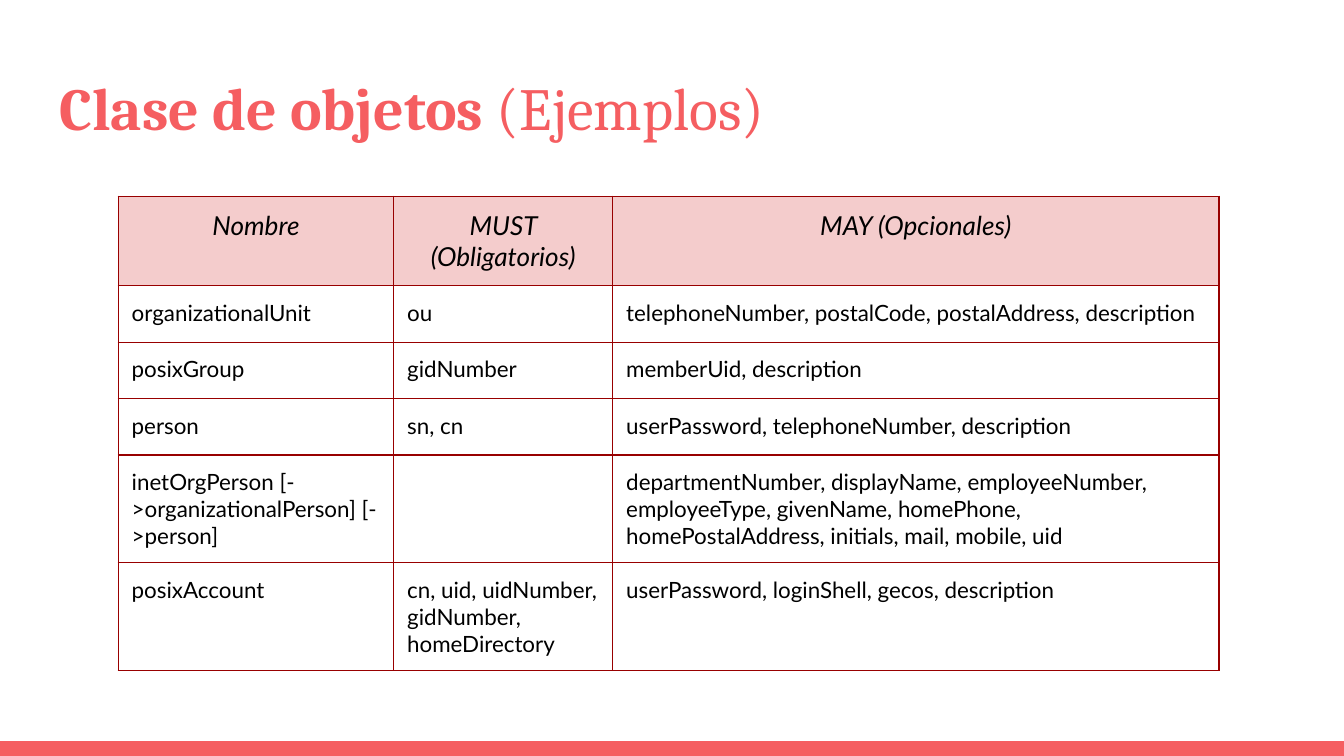
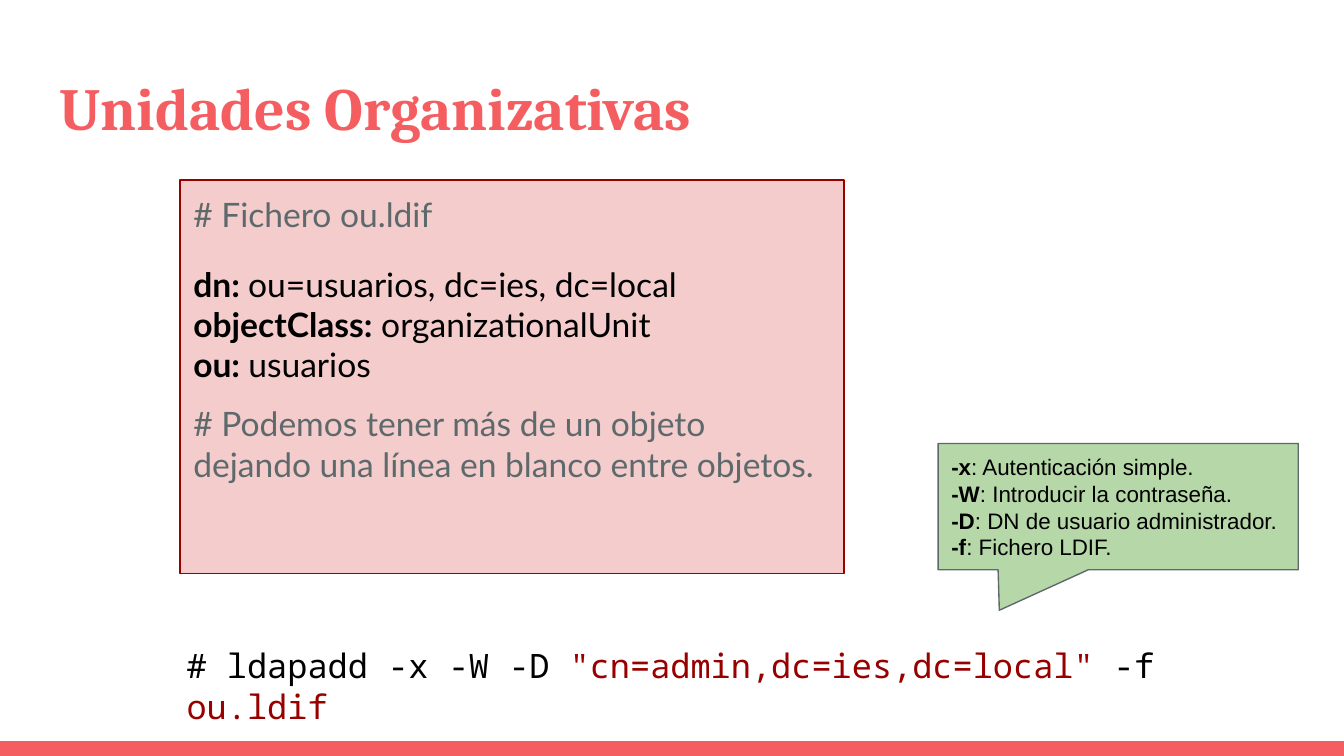
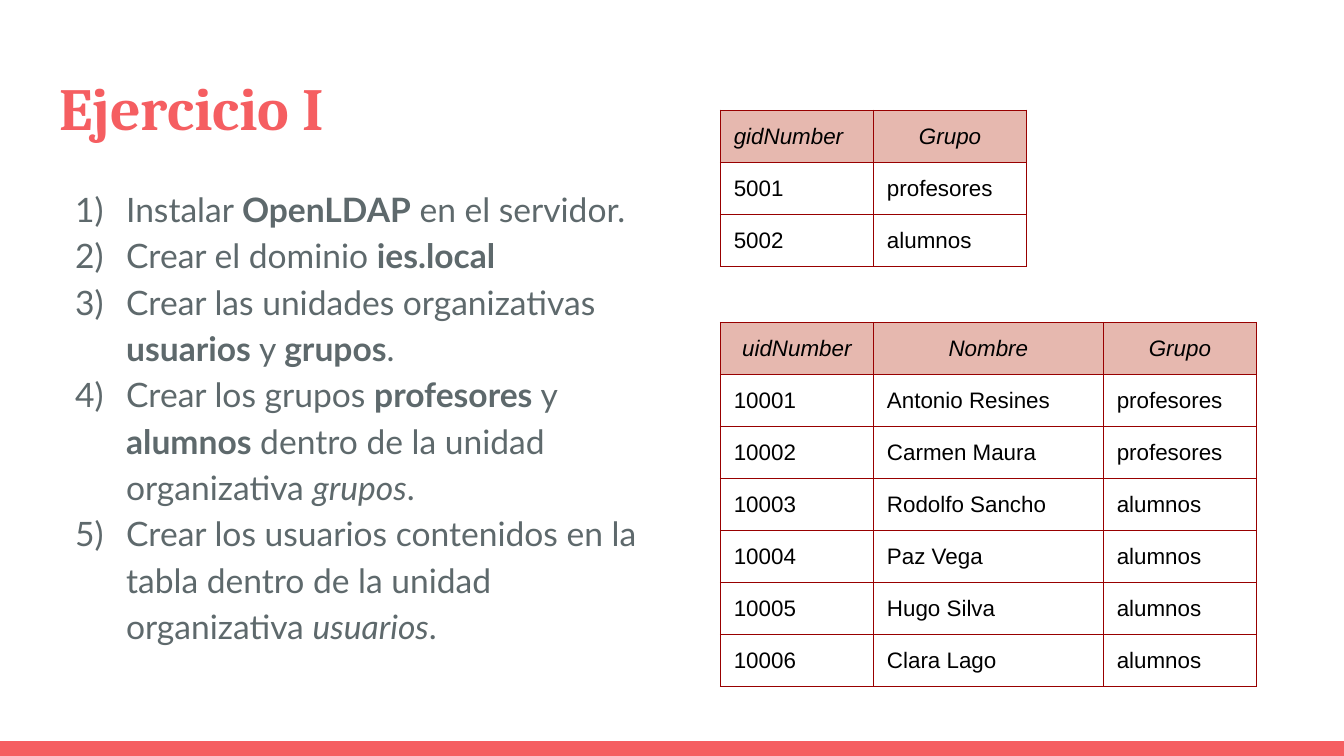
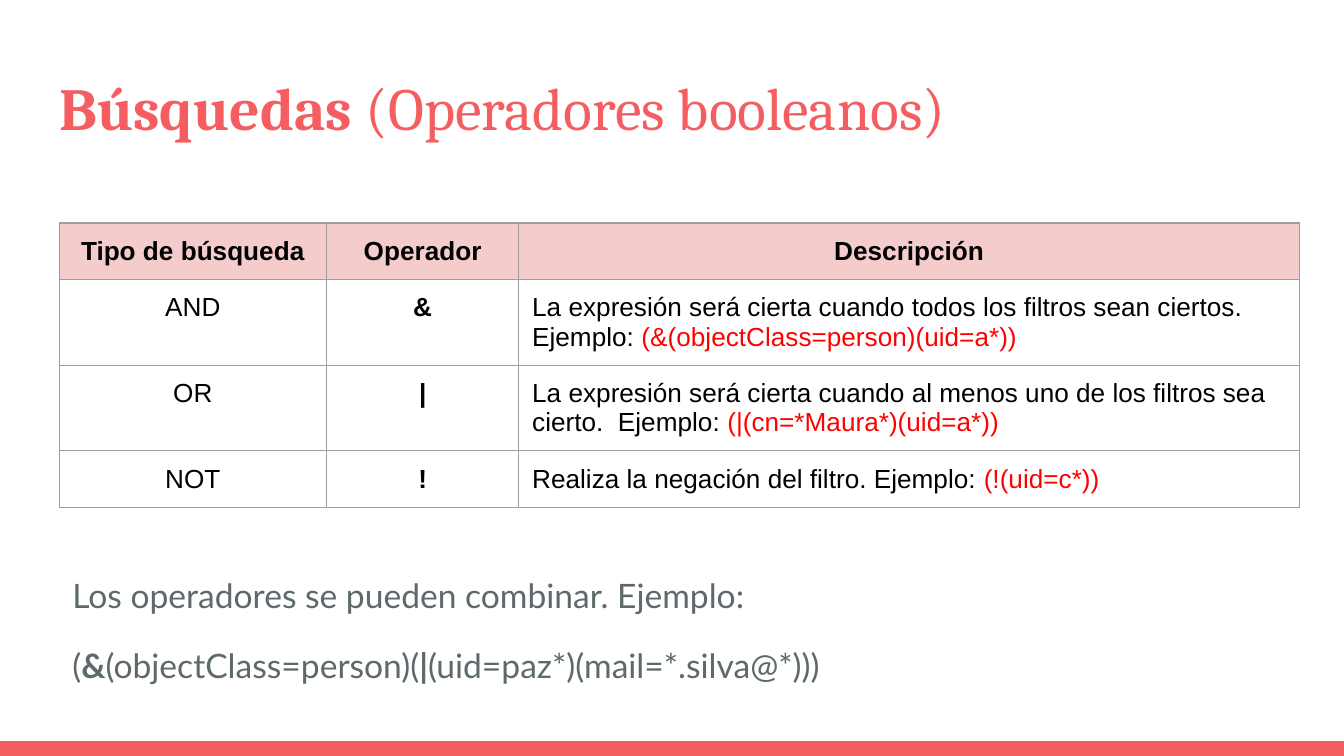
from lxml import etree
from pptx import Presentation
from pptx.dml.color import RGBColor
from pptx.enum.shapes import MSO_SHAPE
from pptx.enum.text import MSO_ANCHOR, MSO_AUTO_SIZE, PP_ALIGN
from pptx.oxml.ns import qn
from pptx.util import Inches, Pt

RECTANGLE = MSO_SHAPE.RECTANGLE
CALLOUT = MSO_SHAPE.RECTANGULAR_CALLOUT
TOP, MIDDLE = MSO_ANCHOR.TOP, MSO_ANCHOR.MIDDLE
ALIGN = {"l": PP_ALIGN.LEFT, "c": PP_ALIGN.CENTER}

COLORS = {
    "coral": "F55E61", "slate": "5E696C", "black": "000000", "maroon": "980000",
    "red": "FF0000", "pink": "F4CCCC", "salmon": "E6B8AF", "green": "B6D7A8",
    "gray": "9E9E9E",
}
SLIDE_W = 10
SLIDE_H = SLIDE_W * 9 / 16
BAND_H = 0.11
MARGIN = 0.1
TITLE_BOX = (0.34, 0.43, 9.32, 0.68)


def bold(text, **style):
    return text, {"bold": True, **style}


def italic(text):
    return text, {"italic": True}


def colored(text, color):
    return text, {"color": color}


# Content: a line is a list of runs; a run is plain text or (text, style).
OBJECT_CLASSES = {
    "at": (0.88, 1.46), "cols": (2.05, 1.63, 4.51), "rows": [0.42] * 6,
    "border": "maroon", "header_fill": "pink", "font": "Lato", "size": 12,
    "header": {"size": 14, "italic": True}, "header_align": "ccc", "align": "lll",
    "cells": [
        ("Nombre", "MUST (Obligatorios)", "MAY (Opcionales)"),
        ("organizationalUnit", "ou",
         "telephoneNumber, postalCode, postalAddress, description"),
        ("posixGroup", "gidNumber", "memberUid, description"),
        ("person", "sn, cn", "userPassword, telephoneNumber, description"),
        ("inetOrgPerson [->organizationalPerson] [->person]", "",
         "departmentNumber, displayName, employeeNumber, employeeType, givenName, "
         "homePhone, homePostalAddress, initials, mail, mobile, uid"),
        ("posixAccount", "cn, uid, uidNumber, gidNumber, homeDirectory",
         "userPassword, loginShell, gecos, description"),
    ],
}

ACCOUNT_TABLE = {
    "border": "maroon", "header_fill": "salmon", "font": "Arial", "size": 12,
    "header": {"italic": True},
}
USERS = {
    **ACCOUNT_TABLE,
    "at": (5.36, 2.4), "cols": (1.14, 1.71, 1.14), "rows": [0.28] + [0.3] * 6,
    "header_align": "ccc", "align": "lll",
    "cells": [
        ("uidNumber", "Nombre", "Grupo"),
        ("10001", "Antonio Resines", "profesores"),
        ("10002", "Carmen Maura", "profesores"),
        ("10003", "Rodolfo Sancho", "alumnos"),
        ("10004", "Paz Vega", "alumnos"),
        ("10005", "Hugo Silva", "alumnos"),
        ("10006", "Clara Lago", "alumnos"),
    ],
}
GROUPS = {
    **ACCOUNT_TABLE,
    "at": (5.36, 0.82), "cols": (1.14, 1.14), "rows": [0.28] + [0.3] * 2,
    "header_align": "lc", "align": "ll",
    "cells": [("gidNumber", "Grupo"), ("5001", "profesores"), ("5002", "alumnos")],
}

OPERATORS = {
    "at": (0.44, 1.66), "cols": (1.99, 1.43, 5.81), "rows": [0.42] * 4,
    "border": "gray", "header_fill": "pink", "font": "Arial", "size": 14,
    "header": {"bold": True}, "header_align": "ccc", "align": "ccl",
    "cells": [
        ("Tipo de búsqueda", "Operador", "Descripción"),
        ("AND", [bold("&")],
         ["La expresión será cierta cuando todos los filtros sean ciertos. Ejemplo: ",
          colored("(&(objectClass=person)(uid=a*))", "red")]),
        ("OR", [bold("|")],
         ["La expresión será cierta cuando al menos uno de los filtros sea cierto.  Ejemplo: ",
          colored("(|(cn=*Maura*)(uid=a*))", "red")]),
        ("NOT", [bold("!")],
         ["Realiza la negación del filtro. Ejemplo: ", colored("(!(uid=c*))", "red")]),
    ],
}

LDIF_FILE = [
    ["# Fichero ou.ldif"],
    [bold("dn: ", color="black"), colored("ou=usuarios, dc=ies, dc=local", "black")],
    [bold("objectClass:", color="black"), colored(" organizationalUnit", "black")],
    [bold("ou: ", color="black"), colored("usuarios", "black")],
    ["# Podemos tener más de un objeto dejando una línea en blanco entre objetos."],
]
LDAPADD_COMMAND = [[
    "# ldapadd -x -W -D ", colored('"cn=admin,dc=ies,dc=local" ', "maroon"),
    "-f ", colored("ou.ldif", "maroon"),
]]
LDAPADD_OPTIONS = [
    [bold("-x"), ": Autenticación simple."],
    [bold("-W"), ": Introducir la contraseña."],
    [bold("-D"), ": DN de usuario administrador."],
    [bold("-f"), ": Fichero LDIF."],
]
EXERCISE_STEPS = [
    ["Instalar ", bold("OpenLDAP"), " en el servidor."],
    ["Crear el dominio ", bold("ies.local")],
    ["Crear las unidades organizativas ", bold("usuarios "), "y ", bold("grupos"), "."],
    ["Crear los grupos ", bold("profesores "), "y ", bold("alumnos"),
     " dentro de la unidad organizativa ", italic("grupos"), "."],
    ["Crear los usuarios contenidos en la tabla dentro de la unidad organizativa ",
     italic("usuarios"), "."],
]
COMBINED_FILTER = [
    ["Los operadores se pueden combinar. Ejemplo:"],
    ["(", bold("&"), "(objectClass=person)(", bold("|"), "(uid=paz*)(mail=*.silva@*)))"],
]


def rgb(name):
    return RGBColor.from_string(COLORS[name])


def write_runs(paragraph, runs, **base):
    for item in runs:
        text, own = item if isinstance(item, tuple) else (item, {})
        style = {**base, **own}
        run = paragraph.add_run()
        run.text = text
        run.font.name = style["font"]
        run.font.size = Pt(style["size"])
        run.font.color.rgb = rgb(style["color"])
        run.font.bold = style.get("bold", False)
        run.font.italic = style.get("italic", False)


def write_lines(frame, lines, font="Lato", size=18, color="slate", anchor=TOP,
                gaps=None, line_spacing=1.0):
    """Fill a frame; gaps maps a line's index to the points of space before it."""
    frame.word_wrap = True
    frame.auto_size = MSO_AUTO_SIZE.NONE
    frame.vertical_anchor = anchor
    frame.margin_left = frame.margin_right = Inches(MARGIN)
    frame.margin_top = frame.margin_bottom = Inches(MARGIN)
    for index, runs in enumerate(lines):
        paragraph = frame.add_paragraph() if index else frame.paragraphs[0]
        paragraph.alignment = ALIGN["l"]
        paragraph.line_spacing = line_spacing
        paragraph.space_before = Pt((gaps or {}).get(index, 0))
        write_runs(paragraph, runs, font=font, size=size, color=color)


def number_lines(frame, color):
    for paragraph in frame.paragraphs:
        props = paragraph._p.get_or_add_pPr()
        props.set("marL", str(Inches(0.5)))
        props.set("indent", str(Inches(-0.38)))
        bullet_color = etree.SubElement(props, qn("a:buClr"))
        etree.SubElement(bullet_color, qn("a:srgbClr"), val=COLORS[color])
        etree.SubElement(props, qn("a:buAutoNum"), type="arabicParenR")


def add_text(slide, box, lines, **style):
    frame = slide.shapes.add_textbox(*map(Inches, box)).text_frame
    write_lines(frame, lines, **style)
    return frame


def add_panel(slide, kind, box, fill, line=None):
    panel = slide.shapes.add_shape(kind, *map(Inches, box))
    panel.shadow.inherit = False
    panel.fill.solid()
    panel.fill.fore_color.rgb = rgb(fill)
    if line:
        panel.line.color.rgb = rgb(line)
        panel.line.width = Pt(0.75)
    else:
        panel.line.fill.background()
    return panel


def set_borders(cell, color):
    props = cell._tc.get_or_add_tcPr()
    for position, side in enumerate(("lnL", "lnR", "lnT", "lnB")):
        line = etree.Element(qn(f"a:{side}"), w=str(Pt(0.75)))
        fill = etree.SubElement(line, qn("a:solidFill"))
        etree.SubElement(fill, qn("a:srgbClr"), val=COLORS[color])
        props.insert(position, line)


def add_grid(slide, data):
    rows, cols = data["rows"], data["cols"]
    table = slide.shapes.add_table(
        len(rows), len(cols),
        *map(Inches, (*data["at"], sum(cols), sum(rows)))).table
    table.first_row = table.horz_banding = False
    for column, width in zip(table.columns, cols):
        column.width = Inches(width)
    for row, height in zip(table.rows, rows):
        row.height = Inches(height)
    base = {"font": data["font"], "size": data["size"], "color": "black"}
    for r, row_cells in enumerate(data["cells"]):
        style = base if r else {**base, **data["header"]}
        aligns = data["align"] if r else data["header_align"]
        for c, content in enumerate(row_cells):
            cell = table.cell(r, c)
            cell.margin_left = cell.margin_right = Inches(MARGIN)
            cell.margin_top = cell.margin_bottom = Inches(MARGIN)
            if r:
                cell.fill.background()
            else:
                cell.fill.solid()
                cell.fill.fore_color.rgb = rgb(data["header_fill"])
            set_borders(cell, data["border"])
            paragraph = cell.text_frame.paragraphs[0]
            paragraph.alignment = ALIGN[aligns[c]]
            if content:
                runs = [content] if isinstance(content, str) else content
                write_runs(paragraph, runs, **style)


def add_slide(prs, *title_runs):
    slide = prs.slides.add_slide(prs.slide_layouts[5])
    title = slide.shapes.title
    title.left, title.top, title.width, title.height = map(Inches, TITLE_BOX)
    write_lines(title.text_frame, [title_runs], font="Cambria", size=32, color="coral")
    return slide


def move_band_to_master(prs, slide):
    band = add_panel(slide, RECTANGLE, (0, SLIDE_H - BAND_H, SLIDE_W, BAND_H), "coral")
    prs.slide_master.shapes.element.append(band.element)


def main():
    prs = Presentation()
    prs.slide_width, prs.slide_height = Inches(SLIDE_W), Inches(SLIDE_H)

    classes = add_slide(prs, bold("Clase de objetos "), "(Ejemplos)")
    move_band_to_master(prs, classes)
    add_grid(classes, OBJECT_CLASSES)

    units = add_slide(prs, bold("Unidades Organizativas"))
    ldif = add_panel(units, RECTANGLE, (1.34, 1.34, 4.94, 2.93), "pink", "maroon")
    write_lines(ldif.text_frame, LDIF_FILE, gaps={1: 16, 4: 10})
    add_text(units, (1.29, 4.7, 8.17, 0.59), LDAPADD_COMMAND,
             font="Noto Sans Mono", color="black")
    options = add_panel(units, CALLOUT, (6.98, 3.3, 2.68, 0.94), "green", "slate")
    options.adjustments[0], options.adjustments[1] = -0.33, 0.82
    write_lines(options.text_frame, LDAPADD_OPTIONS, font="Arial", size=12,
                color="black", anchor=MIDDLE)

    exercise = add_slide(prs, bold("Ejercicio I"))
    steps = add_text(exercise, (0.34, 1.26, 4.75, 3.71), EXERCISE_STEPS,
                     line_spacing=1.15)
    number_lines(steps, "slate")
    add_grid(exercise, USERS)
    add_grid(exercise, GROUPS)

    searches = add_slide(prs, bold("Búsquedas "), "(Operadores booleanos)")
    add_grid(searches, OPERATORS)
    add_text(searches, (0.44, 4.18, 9.22, 1.15), COMBINED_FILTER, gaps={1: 16})

    prs.save("out.pptx")


if __name__ == "__main__":
    main()
